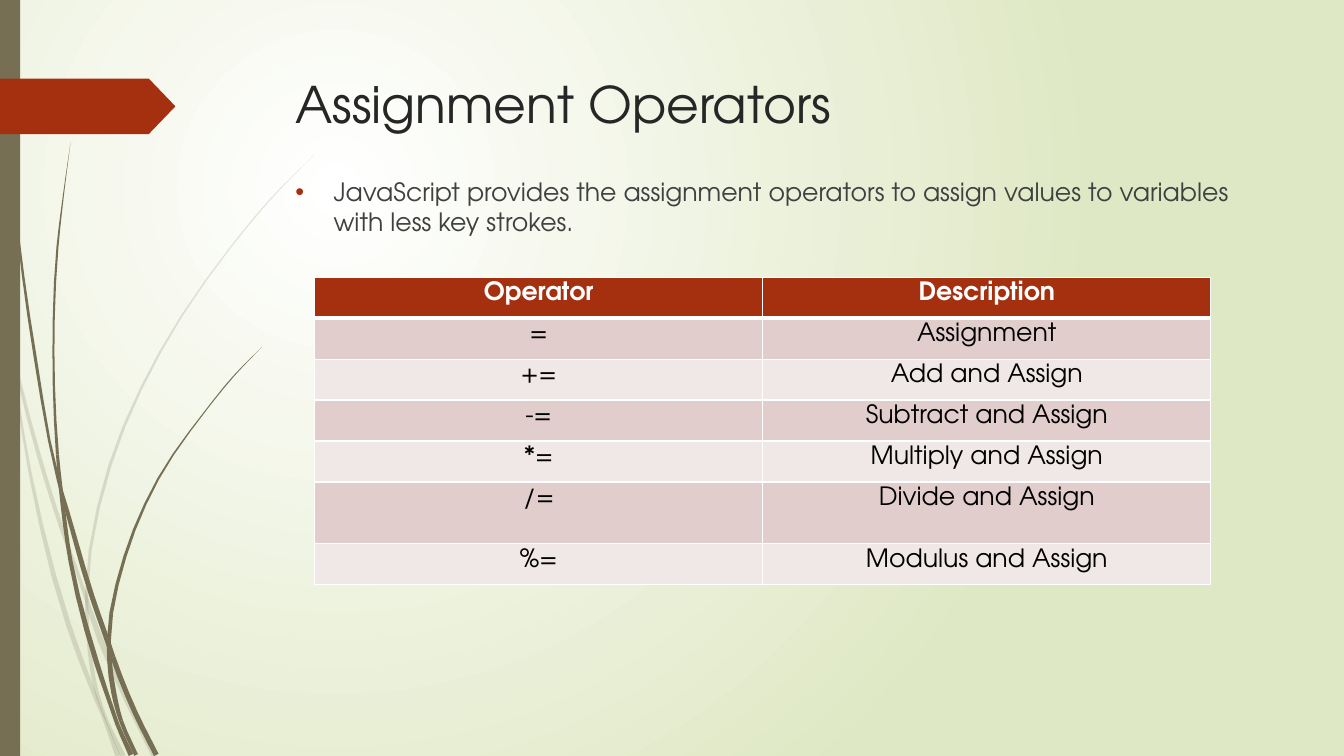
"""Build the Assignment Operators slide with its wisp decoration and table."""
import math

import pptx
import pptx.util
import pptx.dml.color
import pptx.enum.shapes
import pptx.enum.text
import pptx.oxml
import pptx.oxml.ns

Inches, Pt = pptx.util.Inches, pptx.util.Pt
RGBColor = pptx.dml.color.RGBColor
qn = pptx.oxml.ns.qn
ALIGN = pptx.enum.text.PP_ALIGN

FONT = "TeX Gyre Adventor"
WHITE = RGBColor(0xFF, 0xFF, 0xFF)
BLACK = RGBColor(0x00, 0x00, 0x00)
PALE_GREEN = RGBColor(0xDF, 0xE8, 0xC4)
OLIVE = RGBColor(0x76, 0x6F, 0x54)
RUST = RGBColor(0xA5, 0x30, 0x10)
TITLE_GREY = RGBColor(0x26, 0x26, 0x26)
BODY_GREY = RGBColor(0x40, 0x40, 0x40)
DARK_BAND = RGBColor(0xE1, 0xCD, 0xCC)
LIGHT_BAND = RGBColor(0xF0, 0xE8, 0xE7)


def write_text(text_frame, text, size=18, color=BLACK, bold=False, align=ALIGN.LEFT):
    """Fill a text frame with one formatted paragraph and return it."""
    text_frame.word_wrap = True
    paragraph = text_frame.paragraphs[0]
    paragraph.alignment = align
    run = paragraph.add_run()
    run.text = text
    run.font.name = FONT
    run.font.size = Pt(size)
    run.font.bold = bold
    run.font.color.rgb = color
    return paragraph


def paint(shape, color):
    """Give a shape a flat fill without line or shadow."""
    shape.shadow.inherit = False
    shape.line.fill.background()
    shape.fill.solid()
    shape.fill.fore_color.rgb = color


presentation = pptx.Presentation()
presentation.slide_width = Inches(13.33)
presentation.slide_height = Inches(7.5)
slide = presentation.slides.add_slide(presentation.slide_layouts[5])

background = slide.background.fill
background.gradient()
for stop, color in zip(background.gradient_stops, (WHITE, PALE_GREEN)):
    stop.color.rgb = color
gradient = slide._element.find(".//" + qn("a:gradFill"))
gradient.replace(gradient.find(qn("a:lin")), pptx.oxml.parse_xml(
    f'<a:path {pptx.oxml.ns.nsdecls("a")} path="circle">'
    '<a:fillToRect l="50000" t="50000" r="100000" b="100000"/></a:path>'))

# Each stem: opacity in percent, knots where it is cut, (x, y, thickness) knots.
STEMS = [
    (20, [1, 4, 5], [(0, 2.9, .04), (.12, 3.47, .03), (.38, 4.5, .04), (.6, 5.21, .04),
                     (.86, 5.95, .04), (.9, 6.08, .05), (1.25, 6.93, .05),
                     (1.53, 7.5, .05)]),
    (20, [4], [(.11, 3.5, .01), (.3, 4.7, .03), (.68, 6.2, .05), (.94, 6.9, .04),
               (1.02, 7.1, .03), (1.17, 7.5, .05)]),
    (20, [5, 8], [(3.12, 1.53, 0), (2.68, 1.98, .01), (2.29, 2.45, .01),
                  (1.59, 3.49, .02), (1.09, 4.62, .03), (.86, 5.88, .03),
                  (.89, 6.46, .04), (.95, 6.83, .04), (1.04, 7.1, .03), (1.22, 7.5, .05)]),
    (100, [4, 7, 8], [(.04, 0, .01), (.08, 1.1, .01), (.18, 2.33, .02), (.35, 3.55, .03),
                      (.58, 4.77, .03), (.66, 5.05, .04), (.91, 5.91, .05),
                      (1.08, 6.4, .05), (1.12, 6.52, .05), (1.34, 7.07, .05),
                      (1.55, 7.49, .05)]),
    (100, [4, 5, 9], [(.7, 1.41, 0), (.63, 1.93, .01), (.57, 2.45, .02), (.53, 3.49, .02),
                      (.57, 4.51, .03), (.62, 5, .04), (.7, 5.57, .04), (.96, 6.58, .05),
                      (1.1, 7, .04), (1.17, 7.2, .04), (1.3, 7.49, .05)]),
    (100, [5, 7], [(2.6, 3.44, 0), (2.31, 3.74, .01), (2.05, 4.06, .01),
                   (1.57, 4.75, .02), (1.24, 5.52, .03), (1.08, 6.36, .04),
                   (1.13, 6.88, .05), (1.2, 7.15, .04), (1.35, 7.49, .04)]),
]
STEPS = 3
for opacity, cuts, knots in STEMS:
    first = [2 * a - b for a, b in zip(knots[0], knots[1])]
    last = [2 * a - b for a, b in zip(knots[-1], knots[-2])]
    padded = [first, *knots, last]
    centres = []
    for before, start, end, after in zip(padded, padded[1:], padded[2:], padded[3:]):
        lead, span, tail = (math.dist(p[:2], q[:2]) for p, q in (
            (before, start), (start, end), (end, after)))
        for step in range(STEPS):
            t = step / STEPS
            centre = []
            for a, b, c, d in zip(before, start, end, after):
                leaving = (c - b) + span * ((b - a) / lead - (c - a) / (lead + span))
                arriving = (c - b) + span * ((d - c) / tail - (d - b) / (span + tail))
                centre.append(b + t * leaving + t ** 2 * (3 * (c - b) - 2 * leaving - arriving)
                              + t ** 3 * (leaving + arriving - 2 * (c - b)))
            centres.append(centre)
    centres.append(knots[-1])
    left_edge, right_edge = [], []
    for index, (x, y, thickness) in enumerate(centres):
        previous = centres[max(index - 1, 0)]
        following = centres[min(index + 1, len(centres) - 1)]
        angle = math.atan2(following[1] - previous[1], following[0] - previous[0])
        across = thickness / 2 * math.sin(angle)
        along = thickness / 2 * math.cos(angle)
        left_edge.append((Inches(max(x - across, 0)), Inches(y + along)))
        right_edge.append((Inches(max(x + across, 0)), Inches(y - along)))
    for start, end in zip([0, *cuts], [*cuts, len(knots) - 1]):
        part = slice(start * STEPS, end * STEPS + 1)
        outline = left_edge[part] + right_edge[part][::-1]
        builder = slide.shapes.build_freeform(*outline[0])
        builder.add_line_segments(outline[1:], close=True)
        stem = builder.convert_to_shape()
        paint(stem, OLIVE)
        if opacity < 100:
            stem_color = stem._element.spPr.find(qn("a:solidFill")).find(qn("a:srgbClr"))
            stem_color.append(pptx.oxml.parse_xml(
                f'<a:alpha {pptx.oxml.ns.nsdecls("a")} val="{opacity * 1000}"/>'))

PRESETS = pptx.enum.shapes.MSO_SHAPE
side_bar = slide.shapes.add_shape(PRESETS.RECTANGLE, 0, 0, Inches(0.2), Inches(7.5))
paint(side_bar, OLIVE)
page_tab = slide.shapes.add_shape(
    PRESETS.PENTAGON, 0, Inches(0.78), Inches(1.74), Inches(0.55))
page_tab.adjustments[0] = 0.48
paint(page_tab, RUST)

title = slide.shapes.title
title.left, title.top, title.width, title.height = map(Inches, (2.83, 0.68, 9.75, 1.4))
title.text_frame.auto_size = pptx.enum.text.MSO_AUTO_SIZE.NONE
title.text_frame.vertical_anchor = pptx.enum.text.MSO_ANCHOR.TOP
write_text(title.text_frame, "Assignment Operators", size=36, color=TITLE_GREY)

body = slide.shapes.add_textbox(*map(Inches, (2.83, 1.7, 9.75, 4.77)))
bullet_paragraph = write_text(
    body.text_frame,
    "JavaScript provides the assignment operators to assign values to variables "
    "with less key strokes.", color=BODY_GREY)
bullet_paragraph.space_before = Pt(10)
properties = bullet_paragraph._p.get_or_add_pPr()
properties.set("marL", str(Inches(0.38)))
properties.set("indent", str(-Inches(0.38)))
for bullet_xml in (f'<a:buClr {{}}><a:srgbClr val="{RUST}"/></a:buClr>',
                   '<a:buFont {} typeface="Arial"/>', '<a:buChar {} char="•"/>'):
    properties.append(pptx.oxml.parse_xml(bullet_xml.format(pptx.oxml.ns.nsdecls("a"))))

ROWS = [
    ("Operator", "Description"),
    ("=", "Assignment"),
    ("+=", "Add and Assign"),
    ("-=", "Subtract and Assign"),
    ("*=", "Multiply and Assign"),
    ("/=", "Divide and Assign"),
    ("%=", "Modulus and Assign"),
]
table = slide.shapes.add_table(
    len(ROWS), 2, Inches(3.12), Inches(2.75), Inches(8.89), Inches(3.05)).table
TALL_ROW, TALL_HEIGHT = 5, 0.61
for row_index, texts in enumerate(ROWS):
    is_header = row_index == 0
    table.rows[row_index].height = Inches(
        TALL_HEIGHT if row_index == TALL_ROW else (3.05 - TALL_HEIGHT) / 6)
    band = RUST if is_header else DARK_BAND if row_index % 2 else LIGHT_BAND
    for column_index, text in enumerate(texts):
        cell = table.cell(row_index, column_index)
        cell.fill.solid()
        cell.fill.fore_color.rgb = band
        write_text(cell.text_frame, text, color=WHITE if is_header else BLACK,
                   bold=is_header, align=ALIGN.CENTER)
        for position, side in enumerate("LRTB" if is_header else "LRB"):
            width = Pt(3 if is_header and side == "B" else 1)
            cell._tc.tcPr.insert(position, pptx.oxml.parse_xml(
                f'<a:ln{side} {pptx.oxml.ns.nsdecls("a")} w="{width}">'
                f'<a:solidFill><a:srgbClr val="{WHITE}"/></a:solidFill></a:ln{side}>'))

presentation.save("out.pptx")
